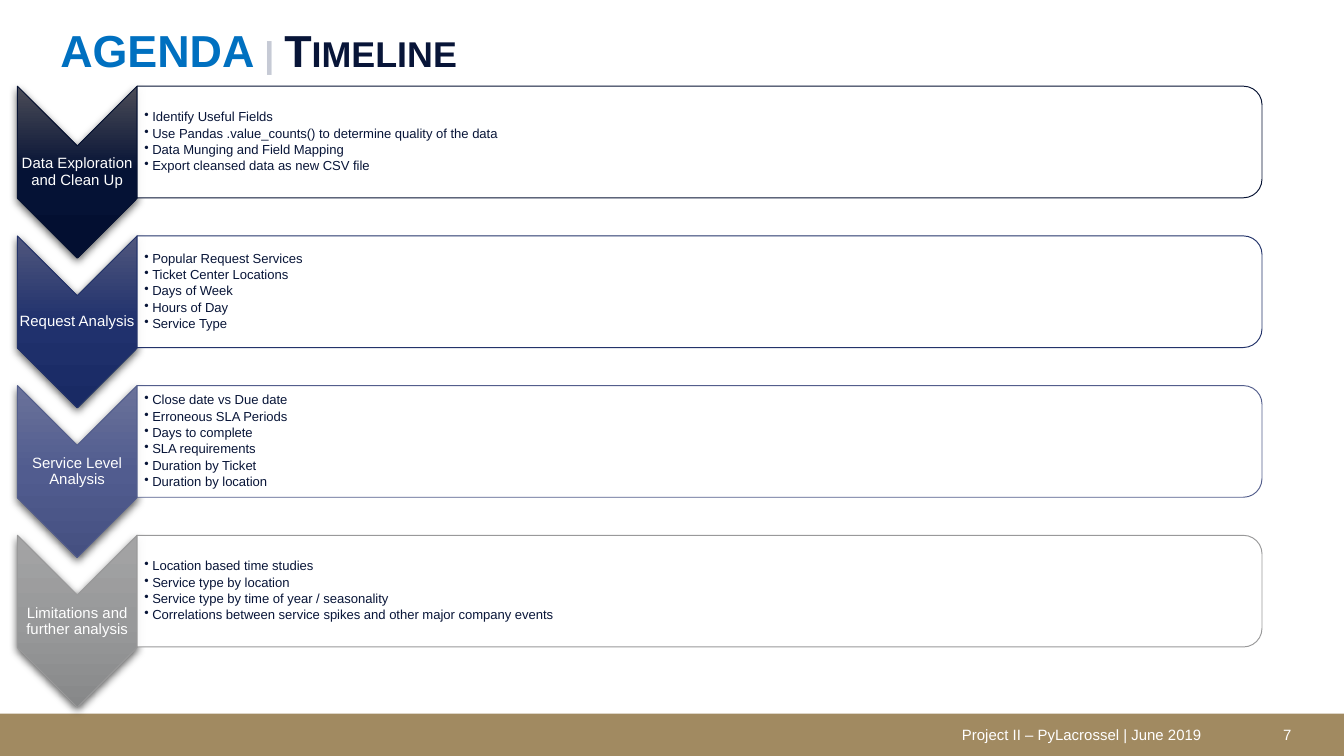
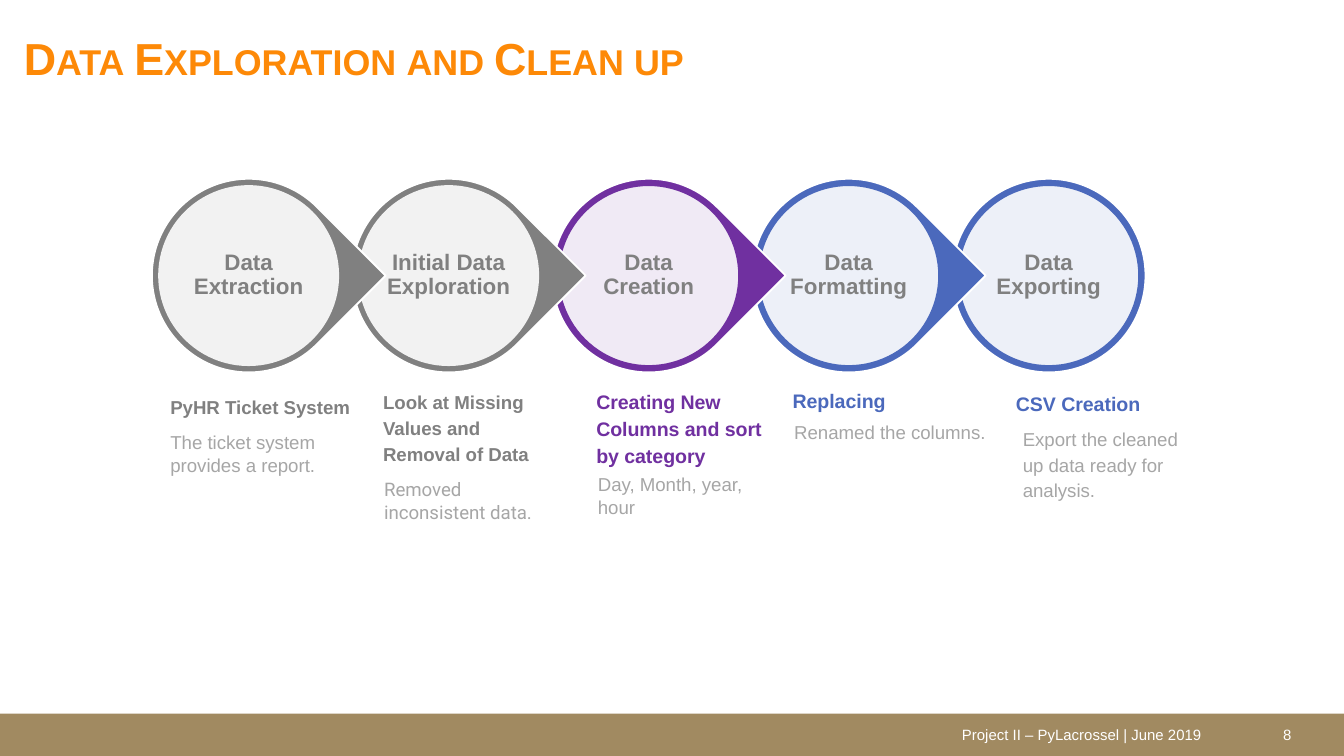
from dataclasses import dataclass
from lxml.etree import SubElement as Sub
from pptx import Presentation
from pptx.dml.color import RGBColor as RGB
from pptx.enum.shapes import MSO_SHAPE as Kind
from pptx.enum.text import MSO_ANCHOR as Anchor, PP_ALIGN as Align
from pptx.oxml import parse_xml
from pptx.oxml.ns import nsdecls, qn
from pptx.util import Cm, Pt


@dataclass(frozen=True)
class Theme:
    font: str = "Arial"
    alt: str = "Roboto"
    white: str = "FFFFFF"
    gold: str = "A18A61"
    sky: str = "0070C0"
    mist: str = "C6CAD5"
    navy: str = "081538"
    orange: str = "FD8907"
    gray: str = "808080"
    pale: str = "A6A6A6"
    purple: str = "7030A0"
    blue: str = "4B69BC"
    title: float = 24
    label: float = 12
    head: float = 10.5
    note: float = 10
    small: float = 8
    item: float = 7


T = Theme()
WIDE, HIGH = 25.4, 14.29
BAND = 0.8

PHASES = [
    ("Data Exploration and Clean Up", ("4B4C57", "051235", "030F31"), "071333",
     ["Identify Useful Fields",
      "Use Pandas .value_counts() to determine quality of the data",
      "Data Munging and Field Mapping",
      "Export cleansed data as new CSV file"]),
    ("Request Analysis", ("50577D", "20316D", "192A64"), "23336A",
     ["Popular Request Services", "Ticket Center Locations", "Days of Week",
      "Hours of Day", "Service Type"]),
    ("Service Level Analysis", ("6A729A", "515C8F", "455081"), "535E8C",
     ["Close date vs Due date", "Erroneous SLA Periods", "Days to complete",
      "SLA requirements", "Duration by Ticket", "Duration by location"]),
    ("Limitations and further analysis", ("A4A4A5", "98999A", "878889"), "99999A",
     ["Location based time studies", "Service type by location",
      "Service type by time of year / seasonality",
      "Correlations between service spikes and other major company events"]),
]

STEPS = [
    ("Data Extraction", T.gray,
     "PyHR Ticket System", (0.1, 0.15, 4.17, 0.97), {"size": T.note},
     "The ticket system provides a report.", (0.1, 0.86, 3.71, 1.5), {}),
    ("Initial Data Exploration", T.gray,
     "Look at Missing Values and Removal of Data", (0.34, 0.5, 3.71, 1.5),
     {"size": T.note},
     "Removed inconsistent data.", (0.36, 1.75, 3.81, 1.5), {"font": T.alt}),
    ("Data Creation", T.purple,
     "Creating New Columns and sort by category", (0.59, 0.55, 3.71, 1.5), {},
     "Day, Month, year, hour", (0.62, 1.65, 3.53, 0.91), {}),
    ("Data Formatting", T.blue,
     "Replacing", (0.52, 0.07, 3.71, 0.94), {},
     "Renamed the columns.", (0.55, 0.71, 4.32, 0.84), {}),
    ("Data Exporting", T.blue,
     "CSV Creation", (0.96, 0.22, 3.71, 0.84), {},
     "Export the cleaned up data ready for analysis.", (1.09, 0.73, 3.89, 1.27),
     {"lead": 1.15}),
]


def write(slide, box, text, size=T.note, color=T.navy, font=T.font, bold=False,
          caps=False, align=Align.LEFT, anchor=Anchor.TOP, pad=(0.25, 0.13),
          lead=None, after=None, dots=False):
    frame = slide.shapes.add_textbox(*map(Cm, box)).text_frame
    frame.word_wrap = True
    frame.vertical_anchor = anchor
    frame.margin_left = frame.margin_right = Cm(pad[0])
    frame.margin_top = frame.margin_bottom = Cm(pad[1])
    for i, line in enumerate(text if isinstance(text, list) else [text]):
        para = frame.paragraphs[0] if i == 0 else frame.add_paragraph()
        para.alignment = align
        if lead:
            para.line_spacing = lead
        if after:
            para.space_after = Pt(after)
        if dots:
            para.level = 1
            props = para._p.get_or_add_pPr()
            props.set("marL", str(Cm(0.15)))
            props.set("indent", str(Cm(-0.15)))
            Sub(props, qn("a:buChar")).set("char", "•")
        for words, tint in [(line, color)] if isinstance(line, str) else line:
            run = para.add_run()
            run.text = words
            run.font.name, run.font.size, run.font.bold = font, Pt(size), bold
            run.font.color.rgb = RGB.from_string(tint)
            if caps:
                run._r.get_or_add_rPr().set("cap", "small")


def draw(slide, kind, box, fill=None, line=None, width=1, turn=0, alpha=None):
    x, y, w, h = box
    if turn == 90:
        x, y, w, h = x + (w - h) / 2, y + (h - w) / 2, h, w
    shape = slide.shapes.add_shape(kind, *map(Cm, (x, y, w, h)))
    shape.rotation = turn
    shape.shadow.inherit = False
    if fill:
        shape.fill.solid()
        shape.fill.fore_color.rgb = RGB.from_string(fill)
    else:
        shape.fill.background()
    if alpha:
        tint = shape._element.spPr.find(qn("a:solidFill"))[0]
        Sub(tint, qn("a:alpha")).set("val", str(alpha * 1000))
    if line:
        shape.line.color.rgb = RGB.from_string(line)
        shape.line.width = Pt(width)
    else:
        shape.line.fill.background()
    return shape


def shade(shape, tints):
    props = shape._element.spPr
    stops = "".join(f'<a:gs pos="{i * 50000}"><a:srgbClr val="{tint}"/></a:gs>'
                    for i, tint in enumerate(tints))
    props.replace(props.find(qn("a:noFill")), parse_xml(
        f'<a:gradFill {nsdecls("a")} rotWithShape="0"><a:gsLst>{stops}</a:gsLst>'
        '<a:lin ang="5400000" scaled="0"/></a:gradFill>'))
    props.find(qn("a:effectLst")).append(parse_xml(
        f'<a:outerShdw {nsdecls("a")} blurRad="{Pt(4.5)}" dist="{Pt(1.5)}" '
        'dir="5400000" algn="ctr" rotWithShape="0"><a:srgbClr val="000000">'
        '<a:alpha val="63000"/></a:srgbClr></a:outerShdw>'))


def head(slide, box, runs, **look):
    write(slide, box, [runs], size=T.title, bold=True, caps=True, **look)


def foot(slide, box, page):
    x, y, w, h = box
    draw(slide, Kind.RECTANGLE, box, T.gold)
    look = {"size": T.small, "color": T.white}
    write(slide, (x + 17.93, y + 0.1, 5.89, 0.6), "Project II – PyLacrossel | June 2019", **look)
    write(slide, (x + 24, y + 0.1, 1.4, 0.6), str(page), **look)


def phase(slide, box, name, tints, edge, items):
    x, y, w, h = box
    tip, body = 2.26, 2.11
    arrow = draw(slide, Kind.CHEVRON, (x, y, tip, h), None, edge, 0.5, 90)
    shade(arrow, tints)
    write(slide, (x, y + 1.14, tip, 0.97), name, size=T.small, color=T.white,
          align=Align.CENTER, anchor=Anchor.MIDDLE, pad=(0.02, 0.02), lead=0.9)
    draw(slide, Kind.ROUND_2_SAME_RECTANGLE, (x + tip, y, w - tip, body),
         T.white, edge, 0.5, 90, 90)
    write(slide, (x + tip + 0.01, y + 0.1, w - tip - 0.1, body - 0.2), items,
          size=T.item, anchor=Anchor.MIDDLE, pad=(0.13, 0), lead=0.9, after=1.2,
          dots=True)


def ring(slide, box, name, color, last):
    x, y, w, h = box
    draw(slide, Kind.OVAL if last else Kind.TEAR, box, color, T.white,
         turn=0 if last else 45)
    gap, inset = 0.12, 0.6
    draw(slide, Kind.OVAL, (x + gap, y + gap, w - 2 * gap, h - 2 * gap),
         T.white, None if color == T.gray else color, alpha=90)
    write(slide, (x + inset, y + inset, w - 2 * inset, h - 2 * inset), name,
          size=T.label, color=T.gray, bold=True, align=Align.CENTER,
          anchor=Anchor.MIDDLE, pad=(0.04, 0.04), lead=0.9)


def notes(slide, spot, color, title, top, style, text, low, form):
    def place(box):
        return spot[0] + box[0], spot[1] + box[1], box[2], box[3]

    pad = (0.25, 0.25)
    write(slide, place(top), title, **{"size": T.head, "color": color, "bold": True,
          "anchor": Anchor.BOTTOM, "pad": pad, "lead": 1.15, **style})
    write(slide, place(low), text, color=T.pale, pad=pad, after=16, **form)


def agenda(slide, box):
    x, y, w, h = box
    head(slide, (x + 0.89, y + 0.3, 14.73, 1.35),
         [("AGENDA ", T.sky), ("| ", T.mist), ("Timeline", T.navy)])
    for i, row in enumerate(PHASES):
        phase(slide, (x + 0.33, y + 1.63 + 2.83 * i, 23.52, 3.25), *row)


def process(slide, box):
    x, y, w, h = box
    size, pitch = 3.66, 3.78
    left, top = x + 2.87, y + 3.38
    for i, (name, color, *_) in reversed(list(enumerate(STEPS))):
        ring(slide, (left + pitch * i, top, size, size), name, color,
             i == len(STEPS) - 1)
    head(slide, (x + 0.2, y + 0.33, 13.51, 1.12),
         [("Data Exploration and Clean up", T.orange)], pad=(0.25, 0.25))
    for i, (_, color, *rest) in enumerate(STEPS):
        notes(slide, (left + pitch * i, top + size), color, *rest)


def main():
    deck = Presentation()
    deck.slide_width, deck.slide_height = Cm(WIDE), Cm(HIGH)
    for page, build in enumerate((agenda, process), 7):
        slide = deck.slides.add_slide(deck.slide_layouts[6])
        foot(slide, (0, HIGH - BAND, WIDE, BAND), page)
        build(slide, (0, 0, WIDE, HIGH - BAND))
    deck.save("out.pptx")


if __name__ == "__main__":
    main()
